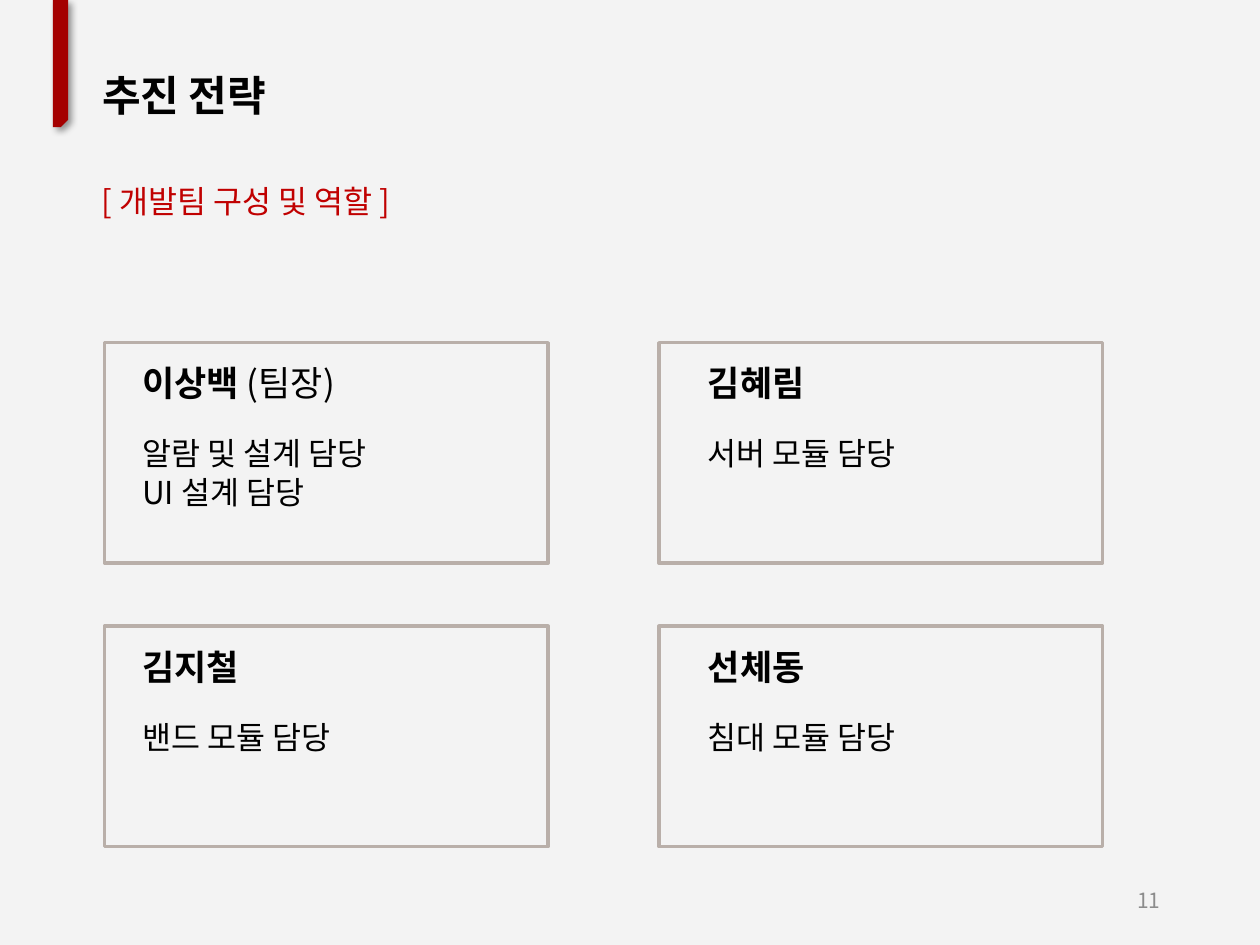
from lxml.etree import SubElement
from pptx import Presentation
from pptx.dml.color import RGBColor
from pptx.enum.shapes import MSO_SHAPE as Shape
from pptx.enum.text import MSO_ANCHOR as Anchor, MSO_AUTO_SIZE as Auto, PP_ALIGN as Align
from pptx.oxml import parse_xml
from pptx.oxml.ns import nsdecls, qn
from pptx.util import Inches, Pt

FONT = "Noto Sans CJK KR"
PAPER = RGBColor(0xF3, 0xF3, 0xF3)
BLACK = RGBColor(0x00, 0x00, 0x00)
RED = RGBColor(0xC0, 0x00, 0x00)
DARK_RED = RGBColor(0xA4, 0x00, 0x00)
FRAME = RGBColor(0xB9, 0xAF, 0xA9)
GRAY = RGBColor(0x8C, 0x8C, 0x8C)

LEFTS, TOPS = (0.83, 5.23), (2.72, 4.97)
INSETS = (0.2, 0.29)
CARD_W, CARD_H = 3.52, 1.75
TEAM = [
    [("이상백", " (팀장)", ["알람 및 설계 담당", "UI 설계 담당"]),
     ("김혜림", "", ["서버 모듈 담당"])],
    [("김지철", "", ["밴드 모듈 담당"]),
     ("선체동", "", ["침대 모듈 담당"])],
]


def add_run(para, text, size, color=BLACK, bold=False):
    """Add a run in the slide font, on a line 1.2 times its size."""
    para.line_spacing = Pt(round(size * 1.2))
    run = para.add_run()
    run.text = text
    font = run.font
    font.name, font.size, font.bold = FONT, Pt(size), bold
    font.color.rgb = color
    SubElement(font._element, qn("a:ea"), typeface=FONT)


def set_frame(shape, anchor=Anchor.TOP):
    """Prepare the text frame and return its first paragraph."""
    frame = shape.text_frame
    frame.auto_size = Auto.NONE
    frame.word_wrap = True
    frame.vertical_anchor = anchor
    frame.margin_right = 0
    para = frame.paragraphs[0]
    para.alignment = Align.LEFT
    return para


def add_box(slide, left, top, width, height):
    return slide.shapes.add_textbox(
        Inches(left), Inches(top), Inches(width), Inches(height))


def add_title(slide, text):
    title = slide.shapes.title
    title.left, title.top = Inches(0.71), Inches(0.5)
    title.width, title.height = Inches(1.54), Inches(0.5)
    add_run(set_frame(title), text, 24, bold=True)


def add_card(slide, left, top, inset, name, rank, roles):
    card = slide.shapes.add_shape(
        Shape.RECTANGLE, Inches(left), Inches(top), Inches(CARD_W), Inches(CARD_H))
    card.shadow.inherit = False
    card.fill.background()
    card.line.color.rgb = FRAME
    card.line.width = Pt(2)

    lead = len(roles) > 1
    box = add_box(slide, left + inset, top + 0.1,
                  2.08 if lead else 1.77, 1.58 if lead else 0.98)
    para = set_frame(box)
    add_run(para, name, 20, bold=True)
    if rank:
        add_run(para, rank, 20)
    for index, role in enumerate(roles):
        para = box.text_frame.add_paragraph()
        if index == 0:
            para.space_before = Pt(17)
        add_run(para, role, 18)


def add_ribbon(slide):
    """Hang a strip from the top edge, its lower right corner cut."""
    strip = slide.shapes.add_shape(
        Shape.SNIP_1_RECTANGLE, Inches(0.42), 0, Inches(0.12), Inches(1.01))
    strip.adjustments[0] = 0.5
    strip.rotation = 180
    strip.fill.solid()
    strip.fill.fore_color.rgb = DARK_RED
    strip.line.fill.background()
    props = strip._element.spPr
    props.xfrm.set("flipH", "1")
    props.append(parse_xml(
        f'<a:effectLst {nsdecls("a")}>'
        f'<a:outerShdw blurRad="{Pt(4)}" dist="{Pt(3)}" dir="2700000" rotWithShape="0">'
        '<a:srgbClr val="000000"><a:alpha val="40000"/></a:srgbClr>'
        '</a:outerShdw></a:effectLst>'))


def add_number(slide, text):
    para = set_frame(add_box(slide, 7.06, 6.95, 2.15, 0.4), Anchor.MIDDLE)
    para.alignment = Align.RIGHT
    add_run(para, text, 12, GRAY)


def main():
    deck = Presentation()
    deck.slide_width, deck.slide_height = Inches(10), Inches(7.5)
    slide = deck.slides.add_slide(deck.slide_layouts[5])
    fill = slide.background.fill
    fill.solid()
    fill.fore_color.rgb = PAPER

    add_title(slide, "추진 전략")
    add_run(set_frame(add_box(slide, 0.71, 1.39, 2.69, 0.4)),
            "[ 개발팀 구성 및 역할 ]", 18, RED)
    for top, row in zip(TOPS, TEAM):
        for left, inset, member in zip(LEFTS, INSETS, row):
            add_card(slide, left, top, inset, *member)
    add_ribbon(slide)
    add_number(slide, "11")
    deck.save("out.pptx")


if __name__ == "__main__":
    main()
